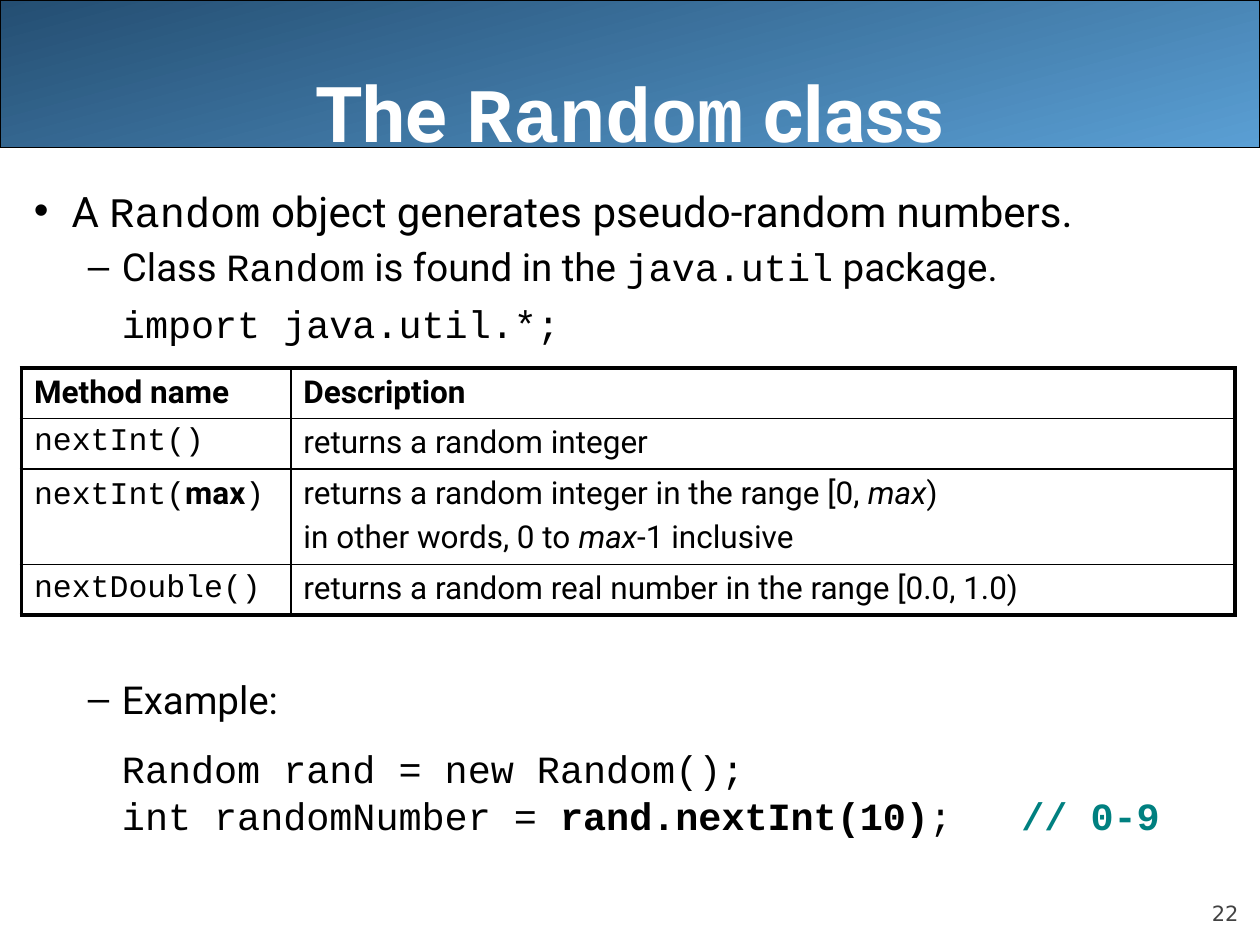
from lxml.etree import SubElement
from pptx import Presentation
from pptx.dml.color import RGBColor
from pptx.enum.shapes import MSO_SHAPE
from pptx.enum.text import MSO_ANCHOR, MSO_AUTO_SIZE, PP_ALIGN
from pptx.oxml.ns import qn
from pptx.util import Pt

BLACK = RGBColor(0x00, 0x00, 0x00)
WHITE = RGBColor(0xFF, 0xFF, 0xFF)
GRAY = RGBColor(0x42, 0x42, 0x42)
TEAL = RGBColor(0x00, 0x80, 0x80)
BAND_DARK = RGBColor(0x24, 0x4E, 0x72)
BAND_LIGHT = RGBColor(0x5A, 0x9F, 0xD4)

SANS = "Roboto"
MONO = "Courier New"
CODE = {"name": MONO}
BOLD = {"bold": True}
ITALIC = {"italic": True}

# Paragraph layouts: left margin, first-line indent and bullet
TOP_LEVEL = (21.6, -21.6, "•")
SECOND_LEVEL = (50.4, -19.44, "–")
CODE_LEVEL = (50.4, 0, None)

TITLE = ["The ", ("Random", CODE), " class"]
INTRO = [
    (TOP_LEVEL, 24, {}, ["A ", ("Random", CODE),
                         " object generates pseudo-random numbers."]),
    (SECOND_LEVEL, 22, {"space_before": Pt(4.4)},
     ["Class ", ("Random", CODE), " is found in the ",
      ("java.util", CODE), " package."]),
    (CODE_LEVEL, 22, {"space_before": Pt(6)}, [("import java.util.*;", CODE)]),
]
EXAMPLE = [
    (SECOND_LEVEL, 22, {}, ["Example:"]),
    (CODE_LEVEL, 22, {"space_before": Pt(18.4), "line_spacing": 0.8},
     [("Random rand = new Random();", CODE)]),
    (CODE_LEVEL, 22, {"space_before": Pt(5.8), "line_spacing": 0.8},
     [("int randomNumber = ", CODE), ("rand.nextInt(10)", CODE | BOLD),
      (";   ", CODE), ("// 0-9", CODE | BOLD | {"color": TEAL})]),
]
COLUMN_WIDTHS = [154, 539.4]
ROW_HEIGHTS = [28.8, 28.8, 54.7, 28.8]
# Each cell is a list of paragraphs, each paragraph a list of spans
METHODS = [
    ([[("Method name", BOLD)]], [[("Description", BOLD)]]),
    ([[("nextInt()", CODE)]], [["returns a random integer"]]),
    ([[("nextInt(", CODE), ("max", BOLD), (")", CODE)]],
     [["returns a random integer in the range [0, ", ("max", ITALIC), ")"],
      ["in other words, 0 to ", ("max", ITALIC), "-1 inclusive"]]),
    ([[("nextDouble()", CODE)]],
     [["returns a random real number in the range [0.0, 1.0)"]]),
]


def apply(target, values):
    for name, value in values.items():
        setattr(target, name, value)


def write_spans(para, spans, **base):
    """Add spans, each plain text or (text, changes to the base font)."""
    for span in spans:
        text, changes = (span, {}) if isinstance(span, str) else span
        values = {"name": SANS, "color": BLACK} | base | changes
        color = values.pop("color")
        run = para.add_run()
        run.text = text
        apply(run.font, values)
        run.font.color.rgb = color


def paragraphs_for(frame, count):
    return [frame.paragraphs[0]] + [frame.add_paragraph() for _ in range(count - 1)]


def set_list_layout(para, layout):
    margin, indent, bullet = layout
    properties = para._p.get_or_add_pPr()
    properties.set("marL", str(Pt(margin)))
    properties.set("indent", str(Pt(indent)))
    if bullet:
        SubElement(properties, qn("a:buFont")).set("typeface", "Arial")
        SubElement(properties, qn("a:buChar")).set("char", bullet)


def add_text_box(page, left, top, width, height, **frame_values):
    box = page.shapes.add_textbox(Pt(left), Pt(top), Pt(width), Pt(height))
    apply(box.text_frame, {"word_wrap": True} | frame_values)
    return box.text_frame


def add_outline(page, top, height, items):
    frame = add_text_box(page, 12.24, top, 707.76, height)
    for para, (layout, size, values, spans) in zip(
            paragraphs_for(frame, len(items)), items):
        set_list_layout(para, layout)
        apply(para, values)
        write_spans(para, spans, size=Pt(size))


def add_band(page):
    band = page.shapes.add_shape(MSO_SHAPE.ROUNDED_RECTANGLE, 0, 0, Pt(720), Pt(84.24))
    band.adjustments[0] = 0
    band.shadow.inherit = False
    band.fill.gradient()
    band.fill.gradient_angle = 285
    for stop, color, position in zip(
            band.fill.gradient_stops, (BAND_DARK, BAND_LIGHT), (0, 1)):
        stop.color.rgb = color
        stop.position = position
    band.line.color.rgb = BLACK
    band.line.width = Pt(0.75)


def format_title(page):
    title = page.shapes.title
    apply(title, {"left": Pt(36), "top": 0, "width": Pt(648), "height": Pt(90)})
    apply(title.text_frame, {
        "vertical_anchor": MSO_ANCHOR.BOTTOM, "auto_size": MSO_AUTO_SIZE.NONE,
        "word_wrap": True, "margin_left": 0, "margin_right": 0,
        "margin_top": Pt(3.6), "margin_bottom": 0})
    para = title.text_frame.paragraphs[0]
    para.alignment = PP_ALIGN.CENTER
    write_spans(para, TITLE, size=Pt(44), bold=True, color=WHITE)
    # Bring the title in front of the band
    title.element.getparent().append(title.element)


def set_borders(cell, widths):
    properties = cell._tc.get_or_add_tcPr()
    for side, width in zip("LRTB", widths):
        line = SubElement(properties, qn(f"a:ln{side}"), w=str(Pt(width)))
        fill = SubElement(line, qn("a:solidFill"))
        SubElement(fill, qn("a:srgbClr")).set("val", str(BLACK))


def add_method_table(page):
    rows, columns = len(ROW_HEIGHTS), len(COLUMN_WIDTHS)
    table = page.shapes.add_table(
        rows, columns, Pt(12.24), Pt(210.24),
        Pt(sum(COLUMN_WIDTHS)), Pt(sum(ROW_HEIGHTS))).table
    apply(table, {"first_row": False, "horz_banding": False})
    for column, width in zip(table.columns, COLUMN_WIDTHS):
        column.width = Pt(width)
    for r, (row, contents) in enumerate(zip(table.rows, METHODS)):
        row.height = Pt(ROW_HEIGHTS[r])
        for c, lines in enumerate(contents):
            cell = table.cell(r, c)
            outer = (c == 0, c == columns - 1, r == 0, r == rows - 1)
            set_borders(cell, [2.25 if edge else 1 for edge in outer])
            cell.fill.background()
            for i, para in enumerate(paragraphs_for(cell.text_frame, len(lines))):
                if i:
                    para.space_before = Pt(4)
                write_spans(para, lines[i], size=Pt(18))


def add_page_number(page):
    frame = add_text_box(
        page, 648, 500.4, 59.76, 28.8, vertical_anchor=MSO_ANCHOR.BOTTOM,
        margin_left=0, margin_right=0, margin_top=0, margin_bottom=0)
    para = frame.paragraphs[0]
    para.alignment = PP_ALIGN.RIGHT
    write_spans(para, ["22"], name="DejaVu Sans", size=Pt(12), color=GRAY)


def main():
    deck = Presentation()
    apply(deck, {"slide_width": Pt(720), "slide_height": Pt(540)})
    page = deck.slides.add_slide(deck.slide_layouts.get_by_name("Title Only"))
    add_band(page)
    add_page_number(page)
    format_title(page)
    add_outline(page, 102.24, 100, INTRO)
    add_method_table(page)
    add_outline(page, 382.5, 100, EXAMPLE)
    deck.save("out.pptx")


if __name__ == "__main__":
    main()
